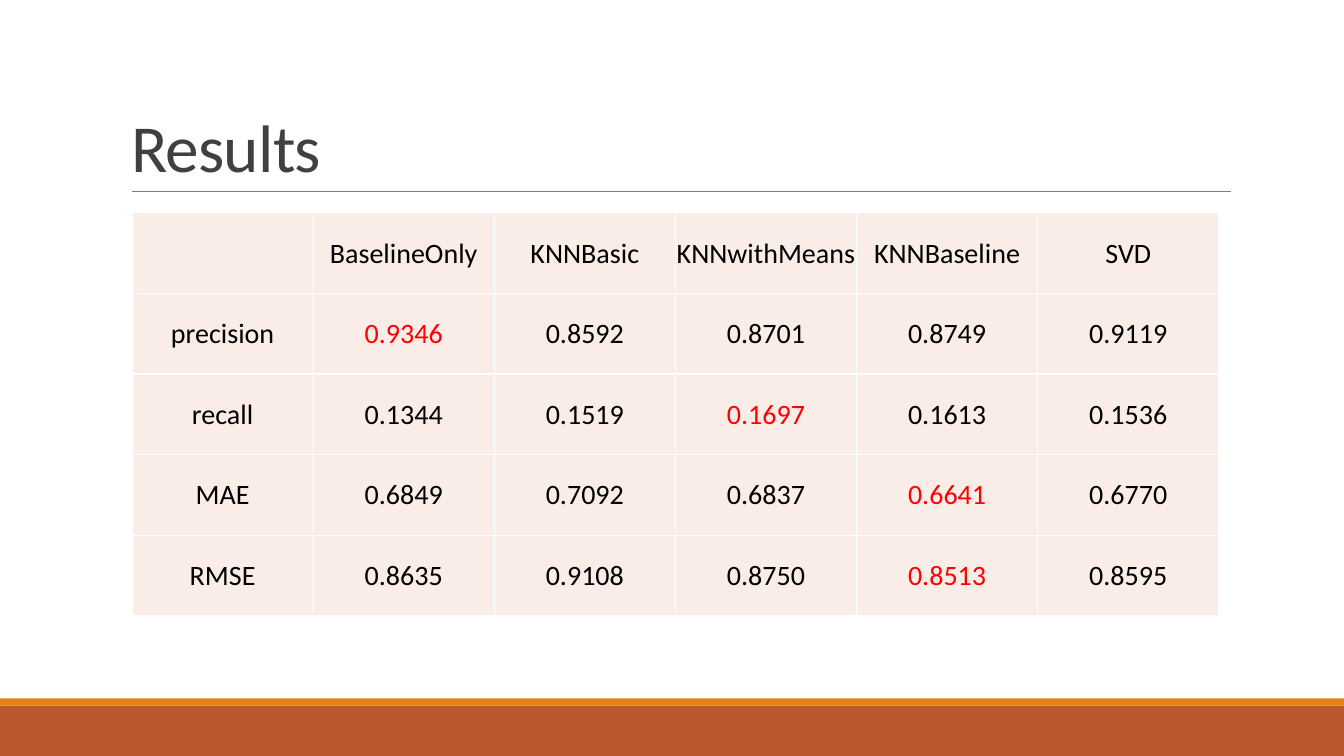
from lxml.etree import SubElement
from pptx import Presentation
from pptx.dml.color import RGBColor
from pptx.enum.shapes import MSO_CONNECTOR, MSO_SHAPE
from pptx.enum.text import MSO_ANCHOR, MSO_AUTO_SIZE, PP_ALIGN
from pptx.oxml.ns import qn
from pptx.util import Inches, Pt

COLORS = {
    "footer": "BD582C", "stripe": "E48312", "rule": "808080",
    "title": "404040", "text": "000000", "best": "FF0000",
    "cell": "FAEDE7", "border": "FFFFFF",
}
FONT = "Calibri"
MODELS = ["BaselineOnly", "KNNBasic", "KNNwithMeans", "KNNBaseline", "SVD"]
# Each metric: its name, the rule that picks the best score, scores by model
METRICS = [
    ("precision", max, [0.9346, 0.8592, 0.8701, 0.8749, 0.9119]),
    ("recall", max, [0.1344, 0.1519, 0.1697, 0.1613, 0.1536]),
    ("MAE", min, [0.6849, 0.7092, 0.6837, 0.6641, 0.6770]),
    ("RMSE", min, [0.8635, 0.9108, 0.8750, 0.8513, 0.8595]),
]


def rgb(name):
    """Return the named colour."""
    return RGBColor.from_string(COLORS[name])


def write(frame, text, *, size, color="text", align=PP_ALIGN.LEFT,
          line_spacing=None, tracking=None):
    """Put formatted text in a text frame; tracking is in points."""
    paragraph = frame.paragraphs[0]
    paragraph.alignment = align
    if line_spacing:
        paragraph.line_spacing = line_spacing
    run = paragraph.add_run()
    run.text = text
    run.font.name = FONT
    run.font.size = Pt(size)
    run.font.color.rgb = rgb(color)
    if tracking is not None:
        run.font._element.set("spc", str(round(tracking * 100)))


def add_band(slide, left, top, width, height, color):
    """Draw a plain filled bar."""
    band = slide.shapes.add_shape(MSO_SHAPE.RECTANGLE, Inches(left),
                                  Inches(top), Inches(width), Inches(height))
    band.shadow.inherit = False
    band.fill.solid()
    band.fill.fore_color.rgb = rgb(color)
    band.line.fill.background()


def add_footer(slide, left, top, width, height, stripe_height=0.07):
    """Draw the footer band with a thin stripe along its top."""
    add_band(slide, left, top + stripe_height, width, height - stripe_height,
             "footer")
    add_band(slide, left, top, width, stripe_height, "stripe")


def add_heading(slide, left, top, width, height, text):
    """Place the title and the thin rule under it."""
    bottom = Inches(top + height)
    rule = slide.shapes.add_connector(
        MSO_CONNECTOR.STRAIGHT, Inches(left + 0.11), bottom,
        Inches(left + width + 0.01), bottom)
    rule.line.color.rgb = rgb("rule")
    rule.line.width = Pt(0.5)
    SubElement(rule._element.spPr, qn("a:effectLst"))

    title = slide.shapes.title
    title.left, title.top = Inches(left), Inches(top)
    title.width, title.height = Inches(width), Inches(height)
    frame = title.text_frame
    frame.word_wrap = True
    frame.auto_size = MSO_AUTO_SIZE.NONE
    frame.vertical_anchor = MSO_ANCHOR.BOTTOM
    write(frame, text, size=48, color="title", line_spacing=0.85,
          tracking=-0.5)


def add_borders(cell):
    """Give a cell a thin border on all four sides."""
    properties = cell._tc.get_or_add_tcPr()
    for position, side in enumerate(("lnL", "lnR", "lnT", "lnB")):
        border = SubElement(properties, qn(f"a:{side}"), w=str(Pt(1)))
        fill = SubElement(border, qn("a:solidFill"))
        SubElement(fill, qn("a:srgbClr"), val=COLORS["border"])
        properties.insert(position, border)


def add_results(slide, left, top, width, height):
    """Build the score table, marking the best score of each metric."""
    rows = [[("", "text")] + [(model, "text") for model in MODELS]]
    for metric, pick_best, scores in METRICS:
        best = pick_best(scores)
        rows.append([(metric, "text")] + [
            (f"{score:.4f}", "best" if score == best else "text")
            for score in scores])

    results = slide.shapes.add_table(
        len(rows), len(rows[0]), Inches(left), Inches(top),
        Inches(width), Inches(height)).table
    results.first_row = results.horz_banding = False
    for row_index, row in enumerate(rows):
        for column_index, (text, color) in enumerate(row):
            cell = results.cell(row_index, column_index)
            cell.fill.solid()
            cell.fill.fore_color.rgb = rgb("cell")
            cell.vertical_anchor = MSO_ANCHOR.MIDDLE
            cell.margin_left = cell.margin_right = Inches(0.01)
            cell.margin_top, cell.margin_bottom = Inches(0.01), 0
            add_borders(cell)
            if text:
                write(cell.text_frame, text, size=20, color=color,
                      align=PP_ALIGN.CENTER)


def build_results_slide(deck):
    """Add the results slide."""
    slide = deck.slides.add_slide(deck.slide_layouts.get_by_name("Title Only"))
    add_footer(slide, 0, 6.93, 13.33, 0.57)
    add_heading(slide, 1.2, 0.31, 11, 1.59, "Results")
    add_results(slide, 1.31, 2.11, 10.78, 4)


deck = Presentation()
deck.slide_width, deck.slide_height = Inches(13.33), Inches(7.5)
build_results_slide(deck)
deck.save("out.pptx")
